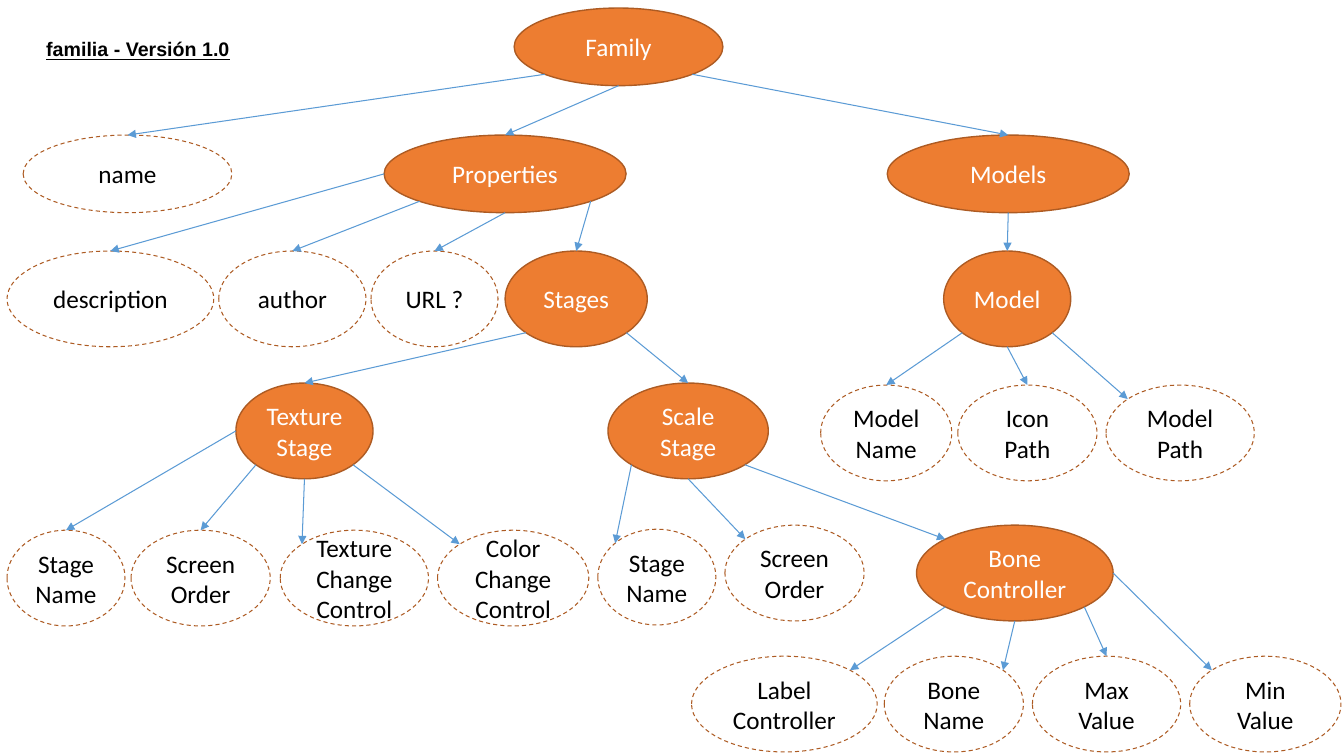
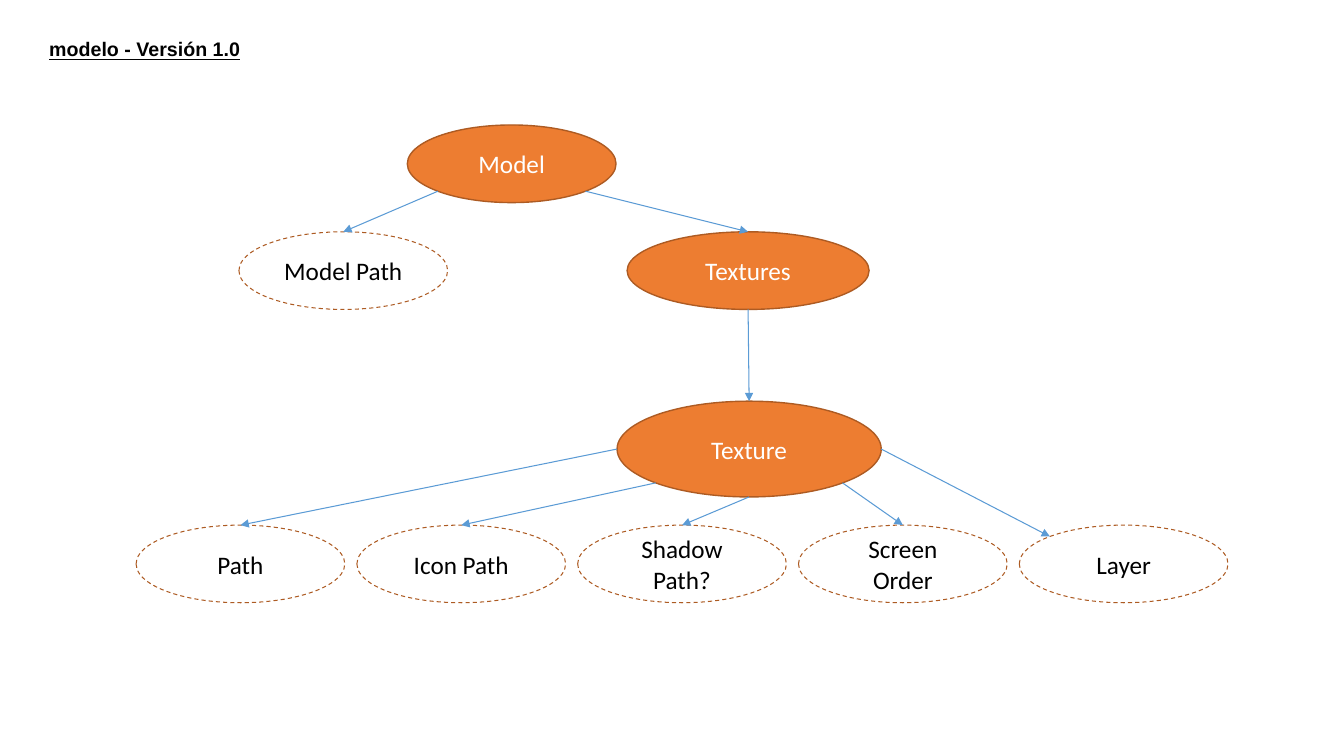
from dataclasses import dataclass
from math import sqrt

from lxml import etree
from pptx import Presentation
from pptx import util as u
from pptx.dml.color import RGBColor
from pptx.enum import dml, shapes, text
from pptx.oxml import ns

# Shared look
COLORS = {
    "branch": "ED7D31",
    "outline": "AD5B23",
    "arrow": "5B9BD5",
    "branch_text": "FFFFFF",
    "text": "000000",
}
BODY_FONT, TITLE_FONT = "Calibri", "Arial"
COLUMNS, ROWS = 13.33, 7.5  # grid laid over the whole slide
LOW, TALL = 0.77, 0.95  # ellipse heights in rows

# Points on an ellipse, as shares of its width and height
NEAR, FAR = 0.5 - sqrt(0.125), 0.5 + sqrt(0.125)
SITES = {
    "top": (0.5, 0), "bottom": (0.5, 1), "left": (0, 0.5), "right": (1, 0.5),
    "top left": (NEAR, NEAR), "top right": (FAR, NEAR),
    "bottom left": (NEAR, FAR), "bottom right": (FAR, FAR),
}


@dataclass
class Node:
    label: str  # one paragraph per line
    left: float
    width: float
    band: tuple  # top and height
    leaves: str = ""  # site on the parent where the arrow starts
    enters: str = "top"  # site on this node where the arrow ends
    children: tuple = ()

    def point(self, site):
        across, down = SITES[site]
        top, height = self.band
        return self.left + across * self.width, top + down * height


@dataclass
class Box:
    left: int
    top: int
    width: int
    height: int

    def x(self, column):
        return int(self.left + self.width * column / COLUMNS)

    def y(self, row):
        return int(self.top + self.height * row / ROWS)

    def area(self, left, top, width, height):
        x, y = self.x(left), self.y(top)
        return x, y, self.x(left + width) - x, self.y(top + height) - y


def color(name):
    return RGBColor.from_string(COLORS[name])


def add_run(paragraph, content, font, size, color_name):
    run = paragraph.add_run()
    run.text = content
    run.font.name = font
    run.font.size = u.Pt(size)
    run.font.color.rgb = color(color_name)
    return run


def add_title(slide, box, content, left, width):
    shape = slide.shapes.add_textbox(*box.area(left, 0.27, width, 0.4))
    frame = shape.text_frame
    frame.word_wrap = True
    frame.margin_top = frame.margin_bottom = u.Inches(0.1)
    run = add_run(frame.paragraphs[0], content, TITLE_FONT, 14, "text")
    run.font.bold = run.font.underline = True


def add_ellipse(slide, box, node):
    top, height = node.band
    shape = slide.shapes.add_shape(
        shapes.MSO_SHAPE.OVAL, *box.area(node.left, top, node.width, height))
    shape.shadow.inherit = False
    shape.line.color.rgb = color("outline")

    # Branches are solid, leaves are dashed outlines
    if node.children:
        shape.fill.solid()
        shape.fill.fore_color.rgb = color("branch")
        shape.line.width = u.Pt(1)
    else:
        shape.fill.background()
        shape.line.width = u.Pt(0.75)
        shape.line.dash_style = dml.MSO_LINE.DASH

    frame = shape.text_frame
    frame.word_wrap = True
    frame.vertical_anchor = text.MSO_ANCHOR.MIDDLE
    for index, line in enumerate(node.label.split("\n")):
        paragraph = frame.add_paragraph() if index else frame.paragraphs[0]
        paragraph.alignment = text.PP_ALIGN.CENTER
        add_run(paragraph, line, BODY_FONT, 18,
                "branch_text" if node.children else "text")


def add_arrow(slide, box, parent, child):
    (x1, y1), (x2, y2) = parent.point(child.leaves), child.point(child.enters)
    connector = slide.shapes.add_connector(
        shapes.MSO_CONNECTOR.STRAIGHT,
        box.x(x1), box.y(y1), box.x(x2), box.y(y2))
    connector.line.color.rgb = color("arrow")
    connector.line.width = u.Pt(0.75)
    properties = connector._element.spPr
    etree.SubElement(properties.get_or_add_ln(), ns.qn("a:tailEnd"), type="triangle")
    etree.SubElement(properties, ns.qn("a:effectLst"))


def add_tree(slide, box, node):
    add_ellipse(slide, box, node)
    for child in node.children:
        add_tree(slide, box, child)
        add_arrow(slide, box, node, child)


def family_tree():
    second, third = (1.34, LOW), (2.49, TALL)
    stage_band, model_band = (3.8, TALL), (3.82, TALL)
    texture_band, scale_band = (5.26, TALL), (5.21, TALL)
    bone_band = (6.51, TALL)

    texture_stage = Node("Texture Stage", 2.34, 1.36, stage_band, "bottom left", children=(
        Node("Stage\nName", 0.07, 1.17, texture_band, "left"),
        Node("Screen\nOrder", 1.3, 1.38, texture_band, "bottom left"),
        Node("Texture\nChange\nControl", 2.78, 1.47, texture_band, "bottom", "top left"),
        Node("Color\nChange\nControl", 4.34, 1.5, texture_band, "bottom right", "top left"),
    ))
    bone_controller = Node(
        "Bone\nController", 9.09, 1.95, scale_band, "bottom right", "top left", (
            Node("Label\nController", 6.86, 1.84, bone_band, "bottom left", "top right"),
            Node("Bone\nName", 8.77, 1.38, bone_band, "bottom", "top right"),
            Node("Max\nValue", 10.24, 1.47, bone_band, "bottom right"),
            Node("Min\nValue", 11.8, 1.5, bone_band, "right", "top left"),
        ))
    scale_stage = Node("Scale Stage", 6.03, 1.59, stage_band, "bottom right", children=(
        Node("Stage Name", 5.93, 1.17, (5.25, TALL), "bottom left", "top left"),
        Node("Screen\nOrder", 7.19, 1.38, scale_band, "bottom", "top left"),
        bone_controller,
    ))
    properties = Node("Properties", 3.81, 2.4, second, "bottom", children=(
        Node("description", 0.07, 2.05, third, "left"),
        Node("author", 2.17, 1.46, third, "bottom left"),
        Node("URL ?", 3.68, 1.26, third, "bottom"),
        Node("Stages", 5.01, 1.41, third, "bottom right",
             children=(texture_stage, scale_stage)),
    ))
    model = Node("Model", 9.36, 1.26, third, "bottom", children=(
        Node("Model Name", 8.14, 1.3, model_band, "bottom left"),
        Node("Icon Path", 9.5, 1.38, model_band, "bottom"),
        Node("Model Path", 10.97, 1.47, model_band, "bottom right", "top left"),
    ))
    return Node("Family", 5.1, 2.07, (0.08, LOW), children=(
        Node("name", 0.23, 2.07, second, "bottom left"),
        properties,
        Node("Models", 8.8, 2.4, second, "bottom right", children=(model,)),
    ))


def model_tree():
    second, leaf_band = (2.3, LOW), (5.21, LOW)
    leaves = (
        ("Path", "left", "top"),
        ("Icon Path", "bottom left", "top"),
        ("Shadow Path?", "bottom", "top"),
        ("Screen\nOrder", "bottom right", "top"),
        ("Layer", "right", "top left"),
    )
    texture = Node("Texture", 6.12, 2.62, (3.98, TALL), "bottom", children=tuple(
        Node(label, 1.35 + 2.19 * index, 2.07, leaf_band, start, end)
        for index, (label, start, end) in enumerate(leaves)))
    return Node("Model", 4.04, 2.07, (1.24, LOW), children=(
        Node("Model Path", 2.37, 2.07, second, "bottom left"),
        Node("Textures", 6.22, 2.4, second, "bottom right", children=(texture,)),
    ))


def add_tree_slide(presentation, title, title_left, title_width, root):
    slide = presentation.slides.add_slide(presentation.slide_layouts[6])
    box = Box(0, 0, presentation.slide_width, presentation.slide_height)
    add_tree(slide, box, root)
    add_title(slide, box, title, title_left, title_width)


presentation = Presentation()
presentation.slide_width = u.Inches(COLUMNS)
presentation.slide_height = u.Inches(ROWS)
add_tree_slide(presentation, "familia - Versión 1.0", 0.36, 2.63, family_tree())
add_tree_slide(presentation, "modelo - Versión 1.0", 0.39, 2.23, model_tree())
presentation.save("out.pptx")
